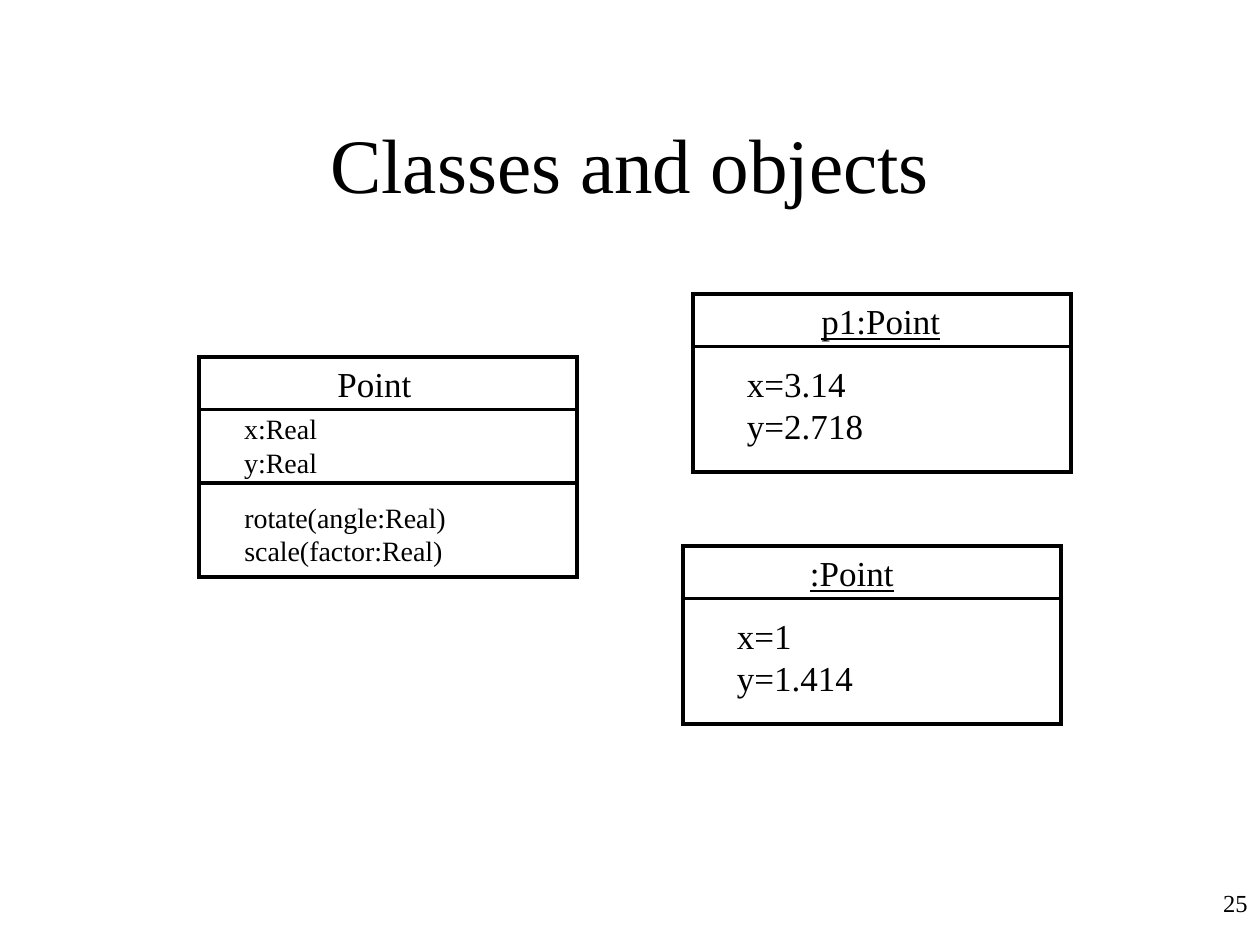
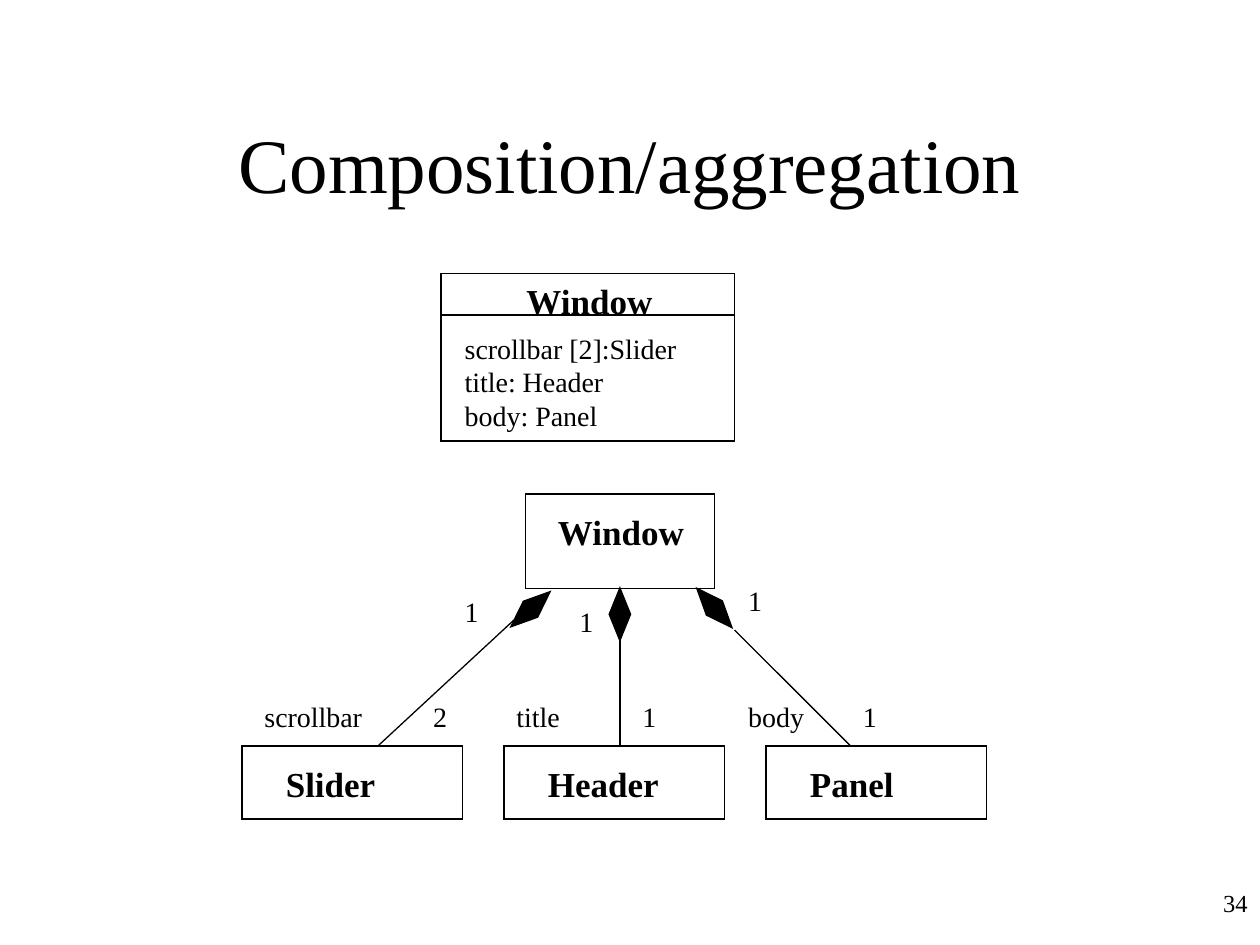
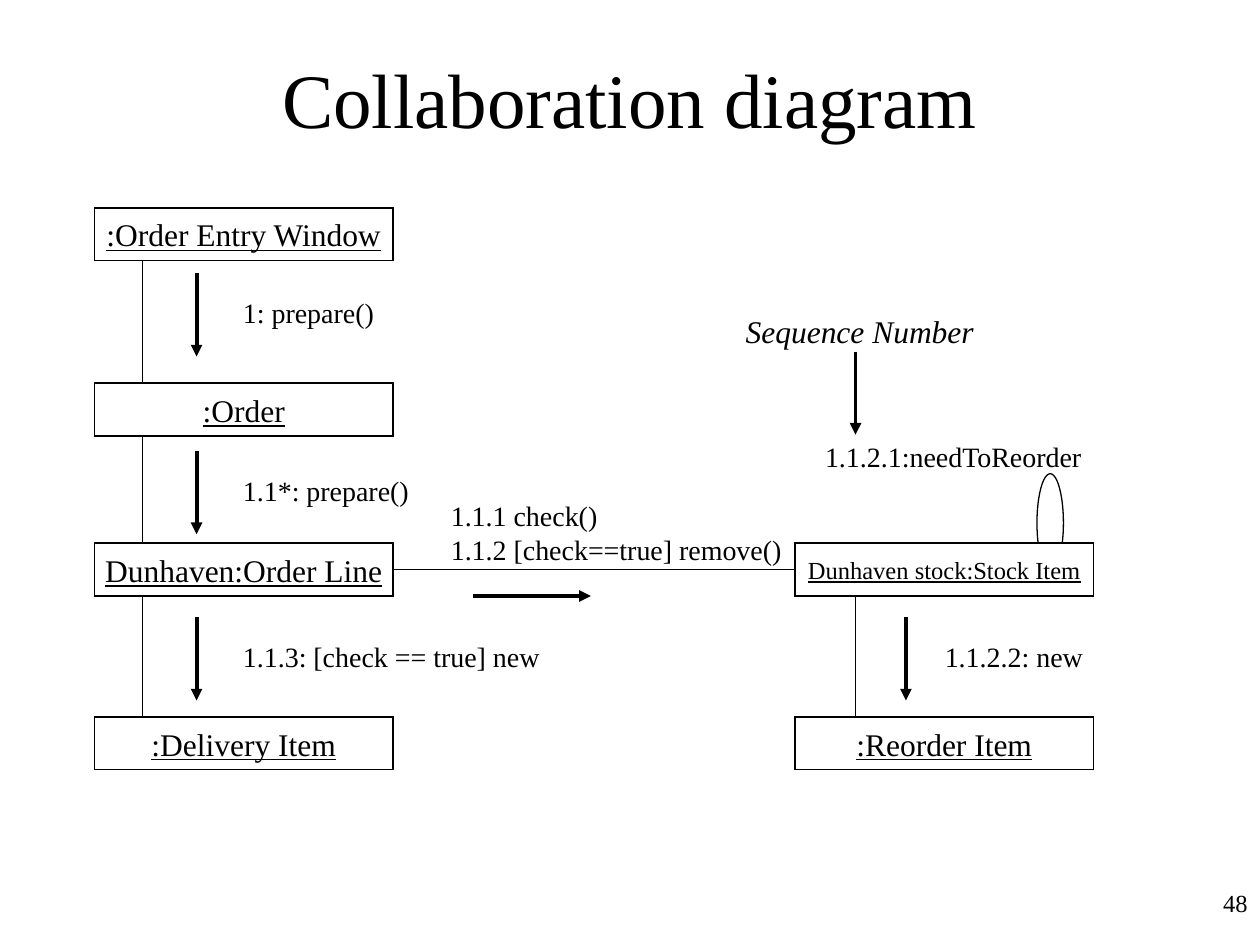
from lxml.etree import SubElement
from pptx import Presentation
from pptx.dml.color import RGBColor
from pptx.enum.shapes import MSO_CONNECTOR, MSO_SHAPE
from pptx.enum.text import MSO_ANCHOR, MSO_AUTO_SIZE, PP_ALIGN
from pptx.oxml.ns import qn
from pptx.util import Inches, Pt

FONT = "Times New Roman"
BLACK, WHITE = "000000", "FFFFFF"
THIN, THICK = 0.75, 2.25
TITLE_LEFT, TITLE_WIDTH, TITLE_HEIGHT = 0.75, 8.5, 1.25
LABEL_SLACK = 0.02
UNDERLINED, BOLD, ITALIC = {"underline": True}, {"bold": True}, {"italic": True}

POINT_BOXES = [
    ((1.58, 2.83, 3, 1.75), THICK, (3.25, 3.83), [
        ("Point", 2.58, 2.83, 0.79, 20, {}),
        ("x:Real\ny:Real", 1.84, 3.22, 0.78, 16, {}),
        ("rotate(angle:Real)\nscale(factor:Real)", 1.84, 3.92, 1.8, 16, {})]),
    ((5.5, 2.33, 3, 1.42), THICK, (2.75,), [
        ("p1:Point", 6.42, 2.33, 1.14, 20, UNDERLINED),
        ("x=3.14\ny=2.718", 5.83, 2.83, 1.12, 20, {})]),
    ((5.42, 4.33, 3, 1.42), THICK, (4.75,), [
        (":Point", 6.33, 4.33, 0.86, 20, UNDERLINED),
        ("x=1\ny=1.414", 5.75, 4.83, 1.12, 20, {})]),
]
WINDOW_BOXES = [
    ((3.5, 2.17, 2.33, 1.33), THIN, (2.5,), [
        ("Window", 4.08, 2.17, 1.2, 20, BOLD),
        ("scrollbar [2]:Slider\ntitle: Header\nbody: Panel", 3.59, 2.58, 1.88, 16, {})]),
    ((4.17, 3.92, 1.5, 0.75), THIN, (), [("Window", 4.33, 4, 1.2, 20, BOLD)]),
]
PART_LEFT, PART_TOP, PART_STEP = 1.92, 5.92, 2.08
PARTS = [("Slider", 0.91), ("Header", 1.08), ("Panel", 0.86)]
DIAMONDS = [(5.46, 4.74, 228.2), (4, 4.75, 138.2), (4.71, 4.79, 270)]
PART_LINES = [((4.92, 5.08), (4.92, PART_TOP)), ((4.08, 4.92), (3, PART_TOP)),
              ((5.83, 5), (6.75, PART_TOP))]
ROLES = [("scrollbar", 2, 0.97), ("title", 4, 0.54), ("body", 5.84, 0.64),
         ("2", 3.34, 0.31), ("1", 5, 0.31), ("1", 6.75, 0.31)]
ROLE_TOP = 5.5
WHOLE_COUNTS = [(3.59, 4.67), (4.5, 4.75), (5.84, 4.58)]

LEFT_COLUMN, RIGHT_COLUMN = 0.75, 6.31
OBJECT_WIDTH, OBJECT_HEIGHT = 2.37, 0.42
OBJECTS = [
    (":Order Entry Window", LEFT_COLUMN, 1.65, 18),
    (":Order", LEFT_COLUMN, 3.04, 18),
    ("Dunhaven:Order Line", LEFT_COLUMN, 4.31, 18),
    (":Delivery Item", LEFT_COLUMN, 5.69, 18),
    ("Dunhaven stock:Stock Item", RIGHT_COLUMN, 4.31, 14),
    (":Reorder Item", RIGHT_COLUMN, 5.69, 18),
]
DOWN_ARROWS = [(1.56, 2.17), (1.56, 3.58), (1.56, 4.9), (7.19, 4.9), (6.79, 2.79)]
ARROW_LENGTH = 0.66
MESSAGES = [
    ("1: prepare()", 1.83, 2.3, 1.24, 16, {}),
    ("1.1*: prepare()", 1.83, 3.71, 1.51, 16, {}),
    ("1.1.3: [check == true] new", 1.83, 5.03, 2.55, 16, {}),
    ("1.1.2.2: new", 7.4, 5.03, 1.29, 16, {}),
    ("1.1.1 check()\n1.1.2 [check==true] remove()", 3.48, 3.91, 2.82, 16, {}),
    ("1.1.2.1:needToReorder", 6.45, 3.44, 2.25, 16, {}),
    ("Sequence Number", 5.82, 2.43, 2.01, 18, ITALIC),
]


def color(value):
    return RGBColor.from_string(value)


def write(frame, text, size, style, align=PP_ALIGN.LEFT):
    frame.text = text
    for paragraph in frame.paragraphs:
        paragraph.alignment = align
        for run in paragraph.runs:
            for name, value in {"name": FONT, "size": Pt(size), **style}.items():
                setattr(run.font, name, value)
            run.font.color.rgb = color(BLACK)


def add_label(slide, text, left, top, width, size=16, style={}):
    height = 0.1 + size * 1.2 / 72 * len(text.split("\n"))
    box = slide.shapes.add_textbox(*map(Inches, (left, top, width + LABEL_SLACK, height)))
    box.text_frame.word_wrap = False
    box.text_frame.auto_size = MSO_AUTO_SIZE.SHAPE_TO_FIT_TEXT
    write(box.text_frame, text, size, style)


def add_outline(slide, kind, frame, line_width=THIN, fill=WHITE):
    shape = slide.shapes.add_shape(kind, *map(Inches, frame))
    shape.shadow.inherit = False
    shape.fill.solid()
    shape.fill.fore_color.rgb = color(fill)
    shape.line.color.rgb = color(BLACK)
    shape.line.width = Pt(line_width)
    SubElement(shape._element.spPr.find(qn("a:ln")), qn("a:miter"), lim="800000")
    return shape


def add_line(slide, start, end, line_width=THIN, arrow=False):
    line = slide.shapes.add_connector(MSO_CONNECTOR.STRAIGHT, *map(Inches, (*start, *end)))
    line.line.color.rgb = color(BLACK)
    line.line.width = Pt(line_width)
    properties = line._element.spPr
    if arrow:
        SubElement(properties.find(qn("a:ln")), qn("a:tailEnd"), type="triangle")
    SubElement(properties, qn("a:effectLst"))
    return line


def add_class_box(slide, frame, line_width, dividers, labels):
    left, _, width, _ = frame
    add_outline(slide, MSO_SHAPE.RECTANGLE, frame, line_width)
    for y in dividers:
        add_line(slide, (left, y), (left + width, y), line_width)
    for label in labels:
        add_label(slide, *label)


def add_slide(presentation, title, number, title_top=0.67):
    slide = presentation.slides.add_slide(presentation.slide_layouts[5])
    heading = slide.shapes.title
    places = zip(("left", "top", "width", "height"),
                 (TITLE_LEFT, title_top, TITLE_WIDTH, TITLE_HEIGHT))
    for name, value in places:
        setattr(heading, name, Inches(value))
    heading.text_frame.vertical_anchor = MSO_ANCHOR.MIDDLE
    write(heading.text_frame, title, 44, {}, PP_ALIGN.CENTER)
    footer = slide.shapes.add_textbox(*map(Inches, (7.92, 7, 2.08, 0.5)))
    footer.text_frame.word_wrap = True
    write(footer.text_frame, number, 14, {}, PP_ALIGN.RIGHT)
    return slide


def build_classes(presentation):
    slide = add_slide(presentation, "Classes and objects", "25")
    for box in POINT_BOXES:
        add_class_box(slide, *box)


def build_composition(presentation):
    slide = add_slide(presentation, "Composition/aggregation", "34")
    for box in WINDOW_BOXES:
        add_class_box(slide, *box)
    for index, (name, width) in enumerate(PARTS):
        left = PART_LEFT + index * PART_STEP
        label = (name, left + 0.25, PART_TOP + 0.08, width, 20, BOLD)
        add_class_box(slide, (left, PART_TOP, 1.75, 0.58), THIN, (), [label])
    for left, top, rotation in DIAMONDS:
        diamond = add_outline(slide, MSO_SHAPE.FLOWCHART_DECISION,
                              (left, top, 0.42, 0.17), fill=BLACK)
        diamond.rotation = rotation
    for start, end in PART_LINES:
        add_line(slide, start, end)
    for text, left, width in ROLES:
        add_label(slide, text, left, ROLE_TOP, width)
    for left, top in WHOLE_COUNTS:
        add_label(slide, "1", left, top, 0.31)


def build_collaboration(presentation):
    slide = add_slide(presentation, "Collaboration diagram", "48", title_top=0.15)
    add_outline(slide, MSO_SHAPE.OVAL, (8.23, 3.76, 0.21, 0.78))
    add_line(slide, (1.13, 2.06), (1.13, 5.69))
    boxes = {}
    for name, left, top, size in OBJECTS:
        box = add_outline(slide, MSO_SHAPE.RECTANGLE, (left, top, OBJECT_WIDTH, OBJECT_HEIGHT))
        box.text_frame.word_wrap = False
        box.text_frame.vertical_anchor = MSO_ANCHOR.MIDDLE
        write(box.text_frame, name, size, UNDERLINED, PP_ALIGN.CENTER)
        boxes[name] = box
    for x, top in DOWN_ARROWS:
        add_line(slide, (x, top), (x, top + ARROW_LENGTH), THICK, arrow=True)
    add_line(slide, (3.75, 4.73), (4.69, 4.73), THICK, arrow=True)
    add_line(slide, (6.79, 4.73), (6.79, 5.69))
    link = add_line(slide, (3.13, 4.52), (6.31, 4.52))
    link.begin_connect(boxes["Dunhaven:Order Line"], 3)
    link.end_connect(boxes["Dunhaven stock:Stock Item"], 1)
    for message in MESSAGES:
        add_label(slide, *message)


def main():
    """Build the three UML slides and save them."""
    presentation = Presentation()
    presentation.slide_width, presentation.slide_height = Inches(10), Inches(7.5)
    build_classes(presentation)
    build_composition(presentation)
    build_collaboration(presentation)
    presentation.save("out.pptx")


if __name__ == "__main__":
    main()
